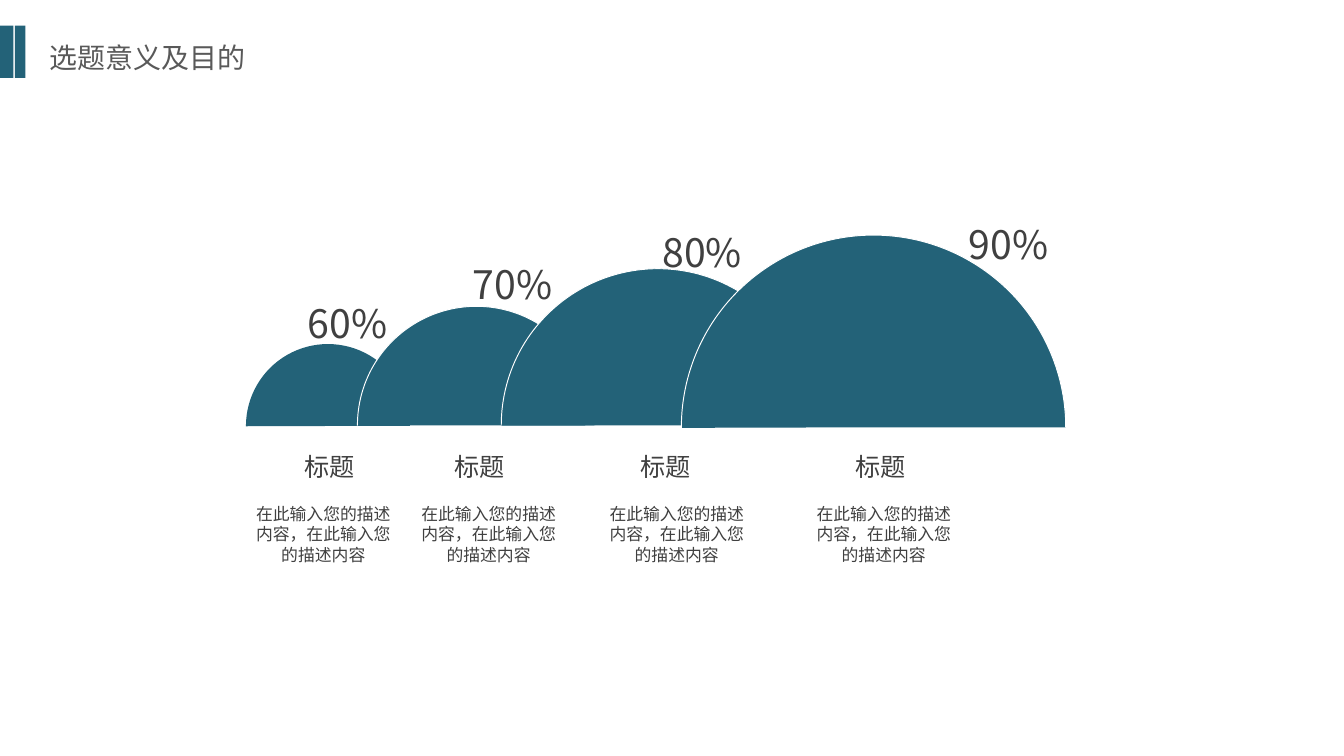
from dataclasses import dataclass

from lxml import etree
from pptx import Presentation
from pptx.dml.color import RGBColor
from pptx.enum import shapes, text
from pptx.oxml.ns import qn
from pptx.util import Inches, Pt

FONT = "Noto Sans CJK SC"
TEAL, WHITE, DARK, GREY = "236278", "FFFFFF", "404040", "595959"
DESCRIPTION = "在此输入您的描述内容，在此输入您的描述内容"


@dataclass
class Dome:
    left: float
    top: float
    diameter: float
    percent: str
    percent_left: float
    percent_top: float
    label_left: float
    text_left: float
    outlined: bool = True


DOMES = [
    Dome(1.83, 2.56, 1.22, "60%", 2.18, 2.18, 2.09, 1.80, outlined=False),
    Dome(2.66, 2.28, 1.77, "70%", 3.41, 1.89, 3.21, 3.03),
    Dome(3.73, 2.00, 2.33, "80%", 4.82, 1.65, 4.59, 4.43),
    Dome(5.07, 1.75, 2.86, "90%", 7.10, 1.59, 6.19, 5.97),
]


def rgb(value: str) -> RGBColor:
    return RGBColor.from_string(value)


def write(sp, content: str, size: float, color: str, align=text.PP_ALIGN.CENTER) -> None:
    p = sp.text_frame.paragraphs[0]
    p.text = content
    p.alignment = align
    p.font.size = Pt(size)
    p.font.color.rgb = rgb(color)
    p.font.name = FONT
    # East Asian characters take their own typeface element
    props = p._p.get_or_add_pPr().find(qn("a:defRPr"))
    etree.SubElement(props, qn("a:ea"), typeface=FONT)


def add_text(s, left: float, top: float, width: float, height: float,
             content: str, size: float, wrap: bool = True):
    sp = s.shapes.add_textbox(Inches(left), Inches(top), Inches(width), Inches(height))
    sp.text_frame.word_wrap = wrap
    write(sp, content, size, DARK)
    return sp


def add_filled(s, kind, left: float, top: float, width: float, height: float):
    sp = s.shapes.add_shape(kind, Inches(left), Inches(top), Inches(width), Inches(height))
    sp.shadow.inherit = False
    sp.fill.solid()
    sp.fill.fore_color.rgb = rgb(TEAL)
    sp.line.fill.background()
    return sp


def add_dome(s, dome: Dome) -> None:
    arc = add_filled(s, shapes.MSO_SHAPE.ARC, dome.left, dome.top,
                     dome.diameter, dome.diameter)
    arc.adjustments[0] = 107.9  # just under 180 degrees, in 60000ths / 100000
    arc.adjustments[1] = 0
    if dome.outlined:
        arc.line.color.rgb = rgb(WHITE)
        arc.line.width = Pt(0.5)

    label = add_text(s, dome.label_left, 3.32, 0.72, 0.3, "标题", 13.5)
    tf = label.text_frame
    tf.margin_left = tf.margin_right = Inches(0.07)
    tf.margin_top = tf.margin_bottom = Inches(0.04)

    add_text(s, dome.percent_left, dome.percent_top, 0.81, 0.45,
             dome.percent, 21, wrap=False)


def main() -> None:
    prs = Presentation()
    prs.slide_width = Inches(10)
    prs.slide_height = prs.slide_width * 9 // 16
    s = prs.slides.add_slide(prs.slide_layouts[5])

    # Title with its two accent bars
    title = s.shapes.title
    title.left, title.top = Inches(0.27), Inches(0.25)
    title.width, title.height = Inches(2.47), Inches(0.35)
    title.text_frame.auto_size = text.MSO_AUTO_SIZE.NONE
    title.text_frame.vertical_anchor = text.MSO_ANCHOR.MIDDLE
    write(title, "选题意义及目的", 15, GREY, text.PP_ALIGN.LEFT)
    for left, width in ((0, 0.1), (0.11, 0.08)):
        add_filled(s, shapes.MSO_SHAPE.RECTANGLE, left, 0.19, width, 0.39)

    # Overlapping domes, then the descriptions below them
    for dome in DOMES:
        add_dome(s, dome)
    for dome in DOMES:
        add_text(s, dome.text_left, 3.7, 1.21, 0.56, DESCRIPTION, 9)

    prs.save("out.pptx")


if __name__ == "__main__":
    main()
